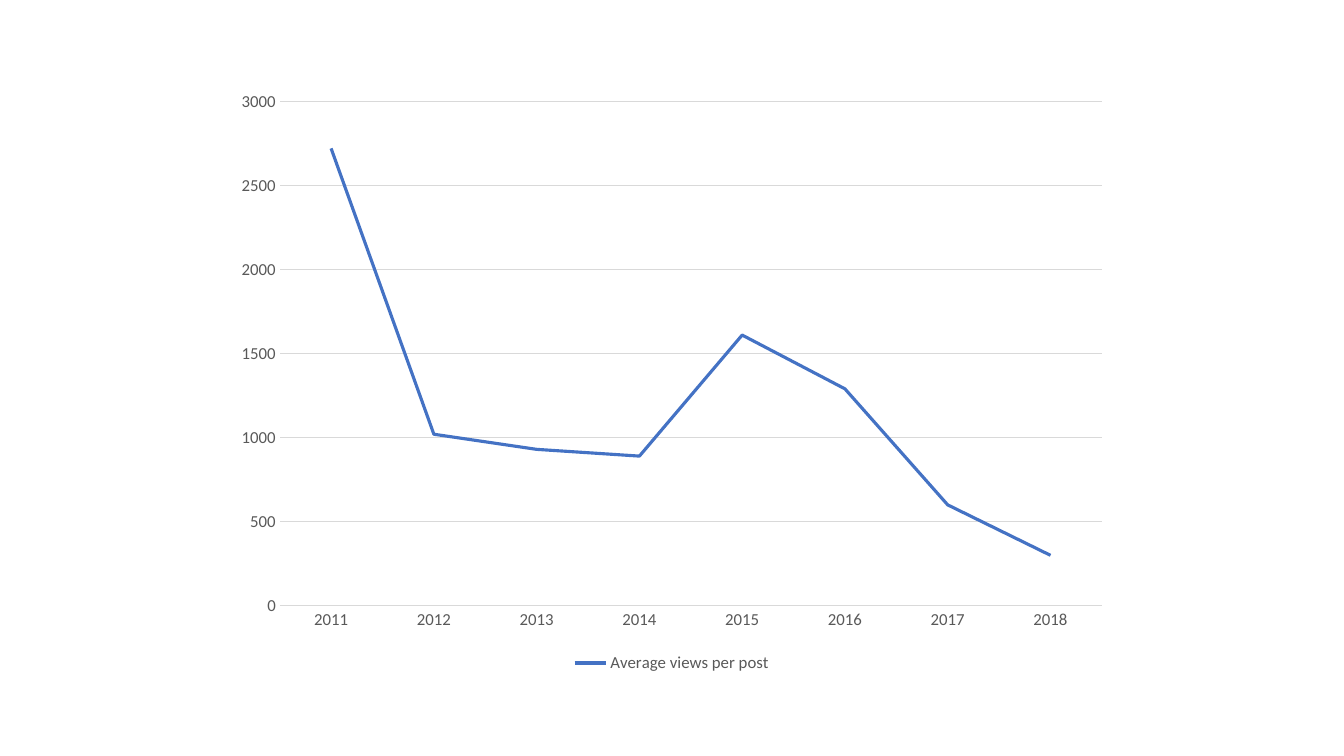
import pptx
import pptx.chart.data
import pptx.dml.color
import pptx.enum.chart
import pptx.util
from pptx.util import Cm

BLUE = pptx.dml.color.RGBColor(0x44, 0x72, 0xC4)
TEXT_GREY = pptx.dml.color.RGBColor(0x59, 0x59, 0x59)
LINE_GREY = pptx.dml.color.RGBColor(0xD9, 0xD9, 0xD9)
FONT_NAME = "Calibri"

FIRST_YEAR = 2011
AVERAGE_VIEWS = [2720, 1020, 930, 890, 1610, 1290, 600, 300]


def style_font(font):
    """Apply the chart's text style."""
    font.name = FONT_NAME
    font.size = pptx.util.Pt(12)
    font.color.rgb = TEXT_GREY


def style_line(line, color, width):
    """Give a line a solid colour and a width in points."""
    line.color.rgb = color
    line.width = pptx.util.Pt(width)


def style_axes(chart):
    """Format both axes, the value scale and the gridlines."""
    for axis in (chart.category_axis, chart.value_axis):
        axis.major_tick_mark = pptx.enum.chart.XL_TICK_MARK.NONE
        axis.minor_tick_mark = pptx.enum.chart.XL_TICK_MARK.NONE
        style_font(axis.tick_labels.font)
    chart.category_axis.has_major_gridlines = False
    style_line(chart.category_axis.format.line, LINE_GREY, 0.75)

    value_axis = chart.value_axis
    value_axis.minimum_scale = 0
    value_axis.maximum_scale = 3000
    value_axis.major_unit = 500
    value_axis.format.line.fill.background()
    value_axis.has_major_gridlines = True
    style_line(value_axis.major_gridlines.format.line, LINE_GREY, 0.75)


def add_views_chart(slide, left, top, width, height):
    """Add the line chart of average views per post by year."""
    data = pptx.chart.data.CategoryChartData(number_format="General")
    data.categories = [str(FIRST_YEAR + i) for i in range(len(AVERAGE_VIEWS))]
    data.add_series("Average views per post", AVERAGE_VIEWS)
    chart = slide.shapes.add_chart(
        pptx.enum.chart.XL_CHART_TYPE.LINE, left, top, width, height, data
    ).chart
    style_font(chart.font)
    chart.has_title = False
    style_axes(chart)

    chart.has_legend = True
    chart.legend.position = pptx.enum.chart.XL_LEGEND_POSITION.BOTTOM
    chart.legend.include_in_layout = False
    style_font(chart.legend.font)

    chart.plots[0].vary_by_categories = False
    series = chart.plots[0].series[0]
    series.smooth = False
    series.marker.style = pptx.enum.chart.XL_MARKER_STYLE.NONE
    style_line(series.format.line, BLUE, 2.25)


def main():
    """Build and save the slide."""
    presentation = pptx.Presentation()
    presentation.slide_width = Cm(33.87)
    presentation.slide_height = Cm(19.05)
    blank_layout = presentation.slide_layouts.get_by_name("Blank")
    slide = presentation.slides.add_slide(blank_layout)
    add_views_chart(slide, Cm(5.64), Cm(2), Cm(22.58), Cm(15.06))
    presentation.save("out.pptx")


main()
